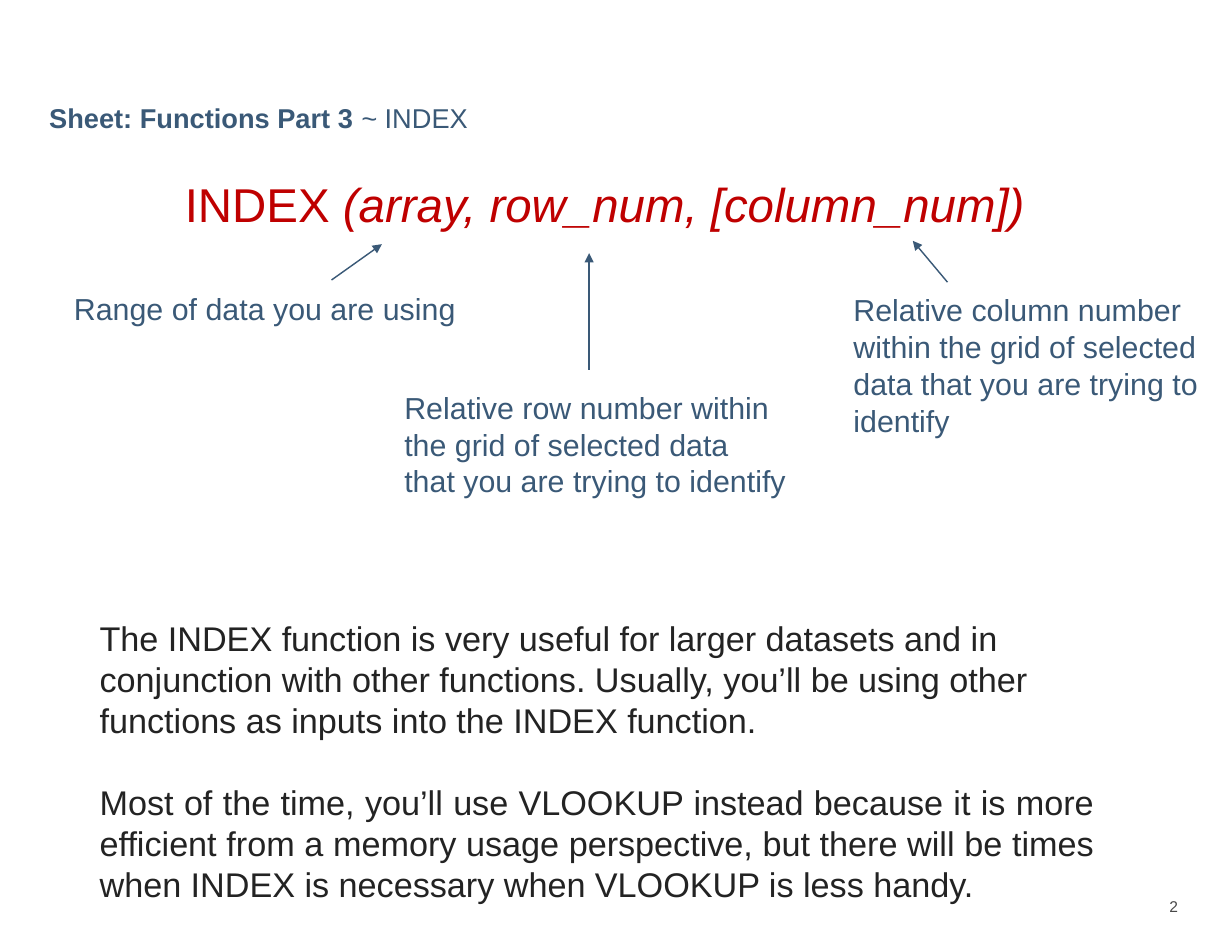
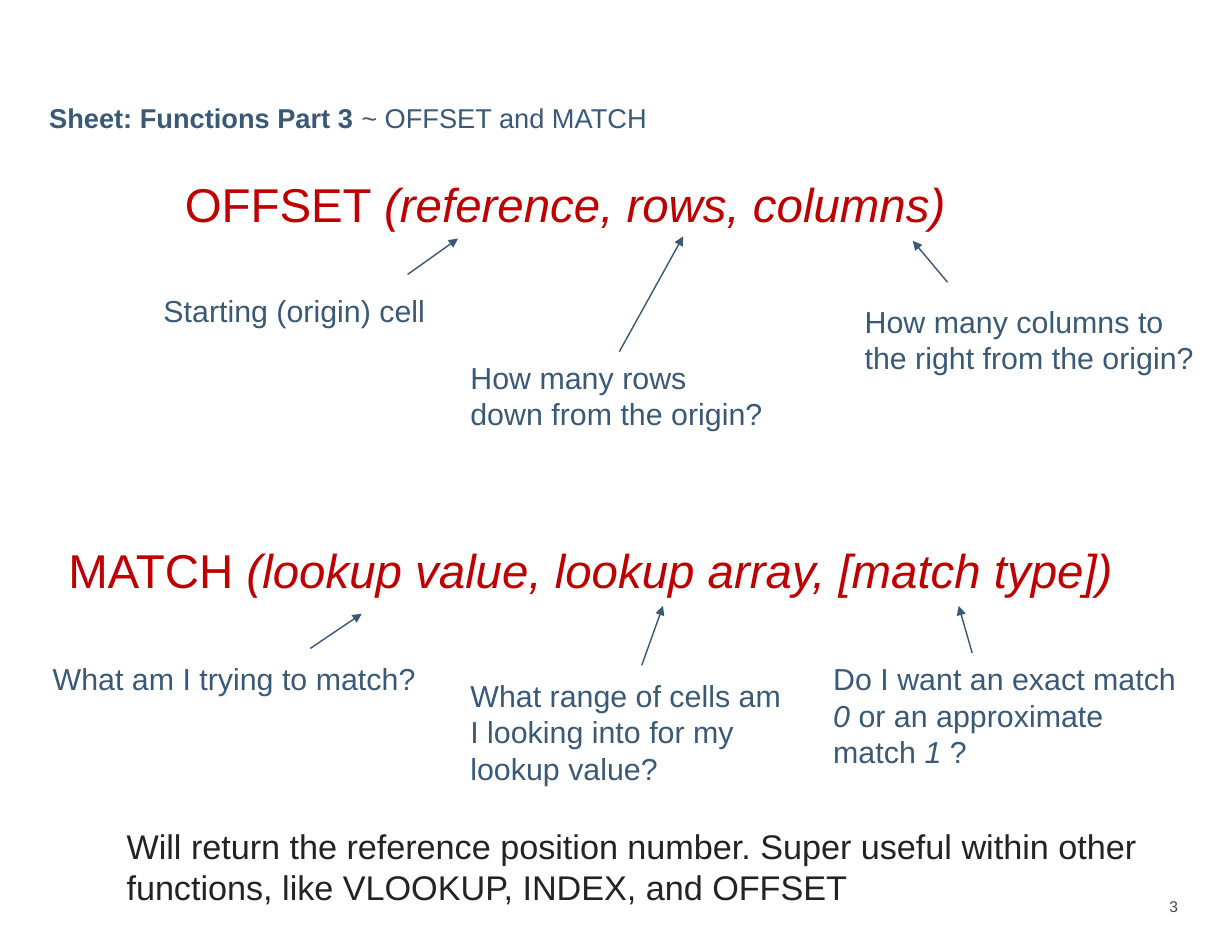
from lxml.etree import SubElement
from pptx import Presentation
from pptx.dml.color import RGBColor
from pptx.enum.shapes import MSO_CONNECTOR
from pptx.enum.text import PP_ALIGN
from pptx.oxml.ns import qn
from pptx.util import Inches, Pt

FONT = "Arial"
COLORS = {"blue": "3A5977", "red": "BF0000", "ink": "232323", "gray": "484848"}
PLAIN, BOLD, ITALIC = "plain", "bold", "italic"


def fill_paragraph(para, content, size, color):
    """Write a string, or (text, style) pairs, and format the runs."""
    pairs = [] if isinstance(content, str) else content
    if isinstance(content, str):
        para.text = content
    for text, style in pairs:
        span = para.add_run()
        span.text = text
        span.font.bold = style == BOLD
        span.font.italic = style == ITALIC
    for span in para.runs:
        span.font.name = FONT
        span.font.size = Pt(size)
        span.font.color.rgb = RGBColor.from_string(COLORS[color])


def add_text(page, place, contents, size, color):
    """Add a wrapped text box with one paragraph per item of contents."""
    box = page.shapes.add_textbox(*map(Inches, place))
    frame = box.text_frame
    frame.word_wrap = True
    frame.margin_left = Inches(0.01)
    frame.margin_right = frame.margin_bottom = 0
    frame.margin_top = Inches(0.03)
    for number, content in enumerate(contents):
        para = frame.add_paragraph() if number else frame.paragraphs[0]
        fill_paragraph(para, content, size, color)
    return frame


def add_heading(page, topic):
    """Add the lesson heading at the top left."""
    runs = [("Sheet: Functions Part 3 ", BOLD), ("~ ", ITALIC), (topic, PLAIN)]
    add_text(page, (0.43, 0.87, 6, 0.32), [runs], 17.5, "blue")


def add_formula(page, left, top, width, name, arguments):
    """Add a large function signature with italic arguments."""
    runs = [(f"{name} ", PLAIN), (arguments, ITALIC)]
    add_text(page, (left, top, width, 0.54), [runs], 30.5, "red")


def add_label(page, place, content):
    """Add the explanation of one argument."""
    frame = add_text(page, place, [content], 19.5, "blue")
    frame.paragraphs[0].line_spacing = 1.01


def add_arrow(page, start, tip):
    """Add a thin arrow from an explanation to its argument."""
    arrow = page.shapes.add_connector(
        MSO_CONNECTOR.STRAIGHT, *map(Inches, start + tip))
    arrow.line.color.rgb = RGBColor.from_string(COLORS["blue"])
    arrow.line.width = Pt(0.9)
    SubElement(arrow.line._get_or_add_ln(), qn("a:tailEnd"), type="triangle")
    SubElement(arrow._element.spPr, qn("a:effectLst"))


def add_arguments(page, arguments):
    """Add an arrow and an explanation for each argument."""
    for start, tip, place, content in arguments:
        add_arrow(page, start, tip)
        add_label(page, place, content)


def add_page_number(page, number):
    """Add the page number at the bottom right."""
    frame = add_text(page, (10.4, 8.01, 0.17, 0.18), [str(number)], 10, "gray")
    frame.margin_left, frame.margin_top = Inches(0.04), 0


def add_page(deck, topic, number):
    """Add a blank page with its heading and number."""
    page = deck.slides.add_slide(deck.slide_layouts[6])
    add_heading(page, topic)
    add_page_number(page, number)
    return page


def build_index(deck):
    """Build the INDEX page."""
    page = add_page(deck, "INDEX", 2)
    add_formula(page, 1.64, 1.53, 7.61, "INDEX", "(array, row_num, [column_num])")
    add_arguments(page, [
        ((2.96, 2.5), (3.41, 2.18), (0.65, 2.56, 3.48, 0.36),
         "Range of data you are using"),
        ((5.26, 3.3), (5.26, 2.26), (3.6, 3.44, 3.48, 1.02),
         "Relative row number within\vthe grid of selected data\v"
         "that you are trying to identify"),
        ((8.46, 2.52), (8.15, 2.15), (7.61, 2.57, 3.15, 1.35),
         "Relative column number within the grid of selected data "
         "that you are trying to identify"),
    ])
    notes = add_text(page, (0.88, 5.48, 8.89, 2.59), [
        "The INDEX function is very useful for larger datasets and in "
        "conjunction with other functions. Usually, you’ll be using other "
        "functions as inputs into the INDEX function.",
        "Most of the time, you’ll use VLOOKUP instead because it is more "
        "efficient from a memory usage perspective, but there will be times "
        "when INDEX is necessary when VLOOKUP is less handy.",
    ], 22, "ink")
    notes.paragraphs[1].space_before = Pt(26.4)
    notes.paragraphs[1].alignment = PP_ALIGN.JUSTIFY


def build_offset_and_match(deck):
    """Build the OFFSET and MATCH page."""
    page = add_page(deck, "OFFSET and MATCH", 3)
    add_formula(page, 1.64, 1.53, 7.61, "OFFSET", "(reference, rows, columns)")
    add_arguments(page, [
        ((3.64, 2.45), (4.09, 2.13), (1.45, 2.58, 2.4, 0.36),
         "Starting (origin) cell"),
        ((5.53, 3.14), (6.1, 2.11), (4.19, 3.17, 2.67, 0.69),
         "How many rows\vdown from the origin?"),
        ((8.46, 2.52), (8.15, 2.15), (7.71, 2.67, 3.01, 0.69),
         "How many columns to the right from the origin?"),
    ])
    add_formula(page, 0.6, 4.8, 9.47, "MATCH",
                "(lookup value, lookup array, [match type])")
    add_arguments(page, [
        ((2.77, 5.79), (3.23, 5.48), (0.46, 5.86, 3.31, 0.36),
         "What am I trying to match?"),
        ((5.73, 5.94), (5.92, 5.41), (4.19, 6.01, 2.84, 1.02),
         "What range of cells am I looking into for my lookup value?"),
        ((8.68, 5.83), (8.56, 5.41), (7.43, 5.86, 3.13, 1.02),
         [("Do I want an exact match ", PLAIN), ("0 ", ITALIC),
          ("or an approximate match ", PLAIN), ("1 ", ITALIC), ("?", PLAIN)]),
    ])
    add_text(page, (1.12, 7.34, 9.05, 0.76), [
        "Will return the reference position number. Super useful within other "
        "functions, like VLOOKUP, INDEX, and OFFSET",
    ], 22, "ink")


def main():
    """Build and save the deck."""
    deck = Presentation()
    deck.slide_width, deck.slide_height = Inches(11), Inches(8.5)
    build_index(deck)
    build_offset_and_match(deck)
    deck.save("out.pptx")


if __name__ == "__main__":
    main()
